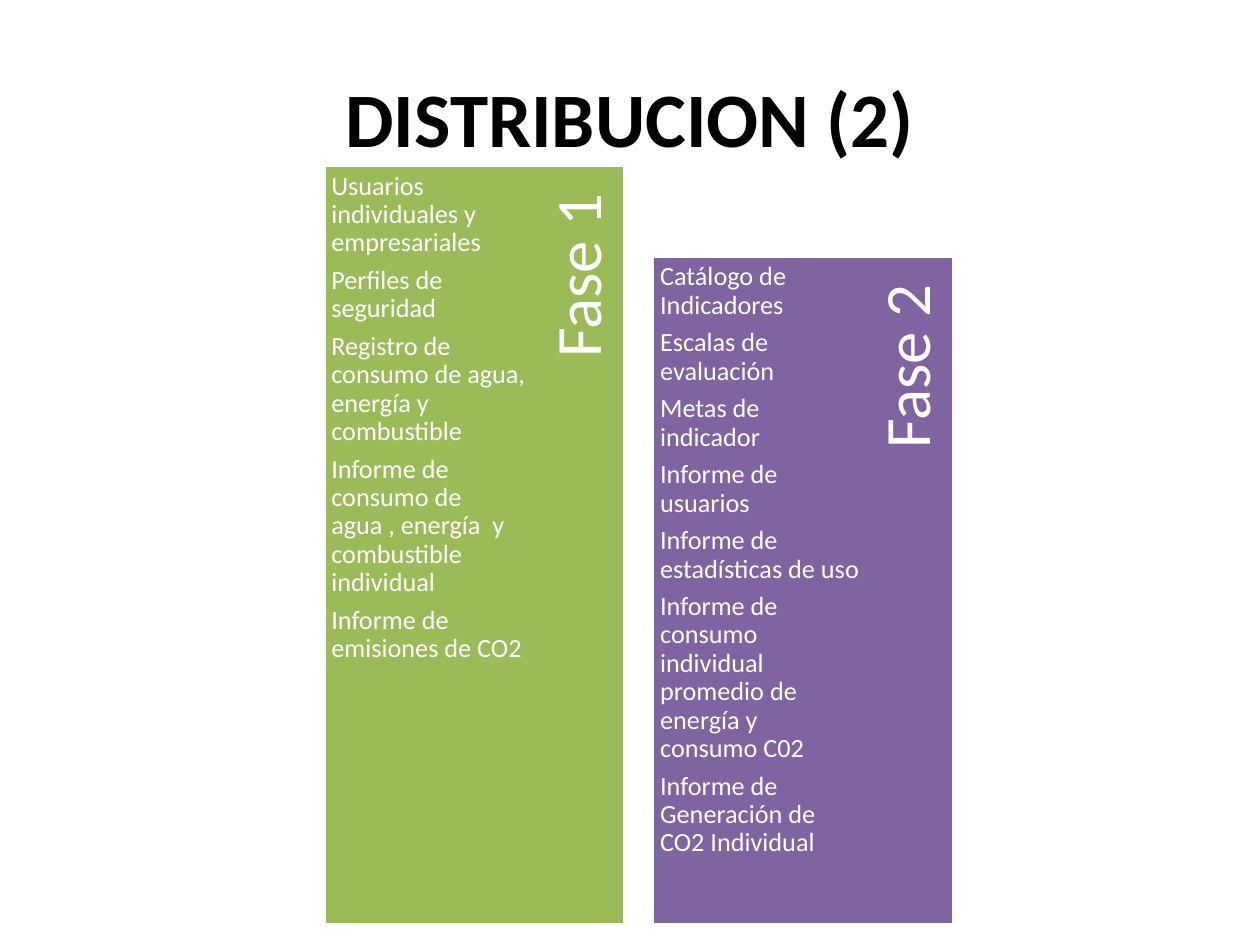
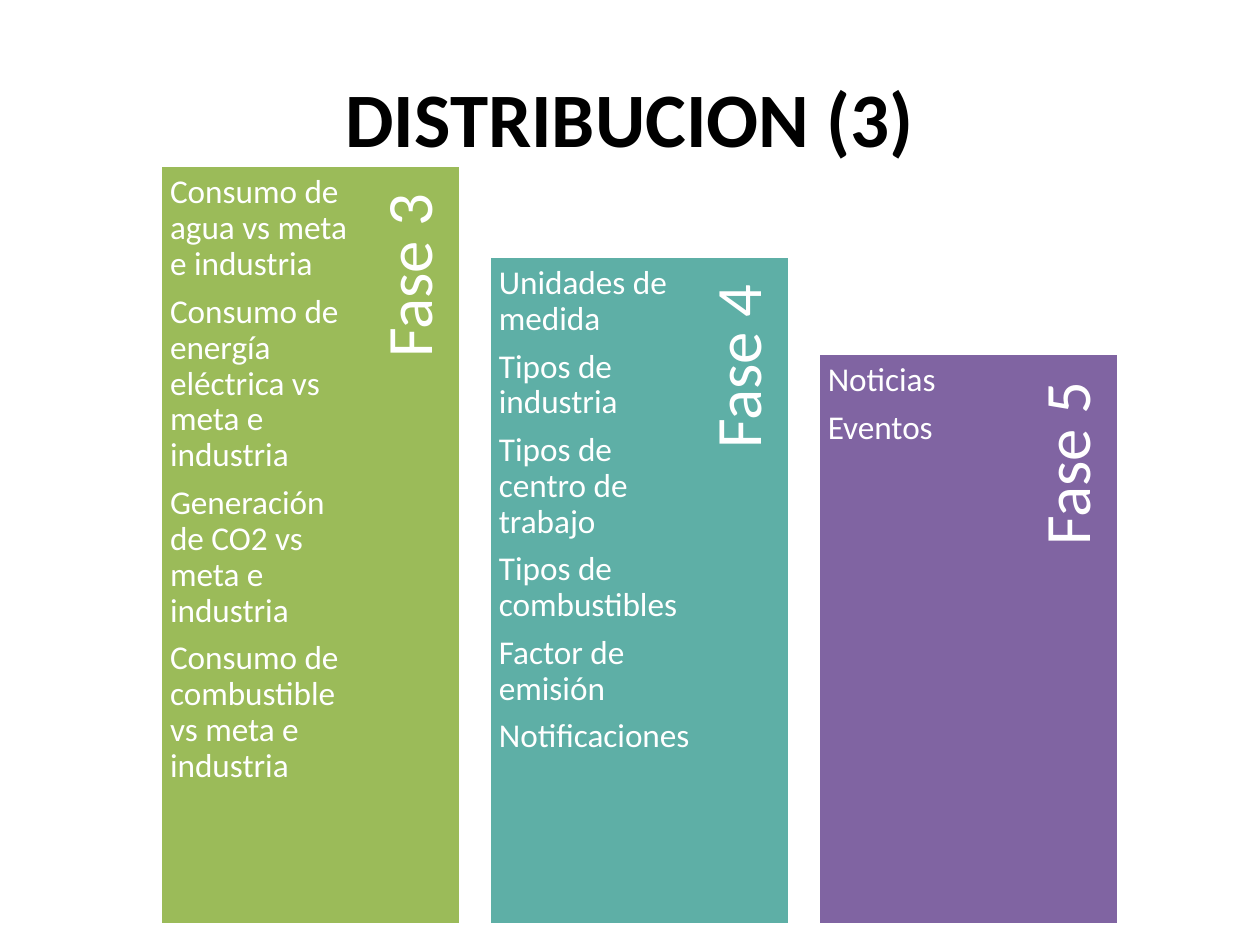
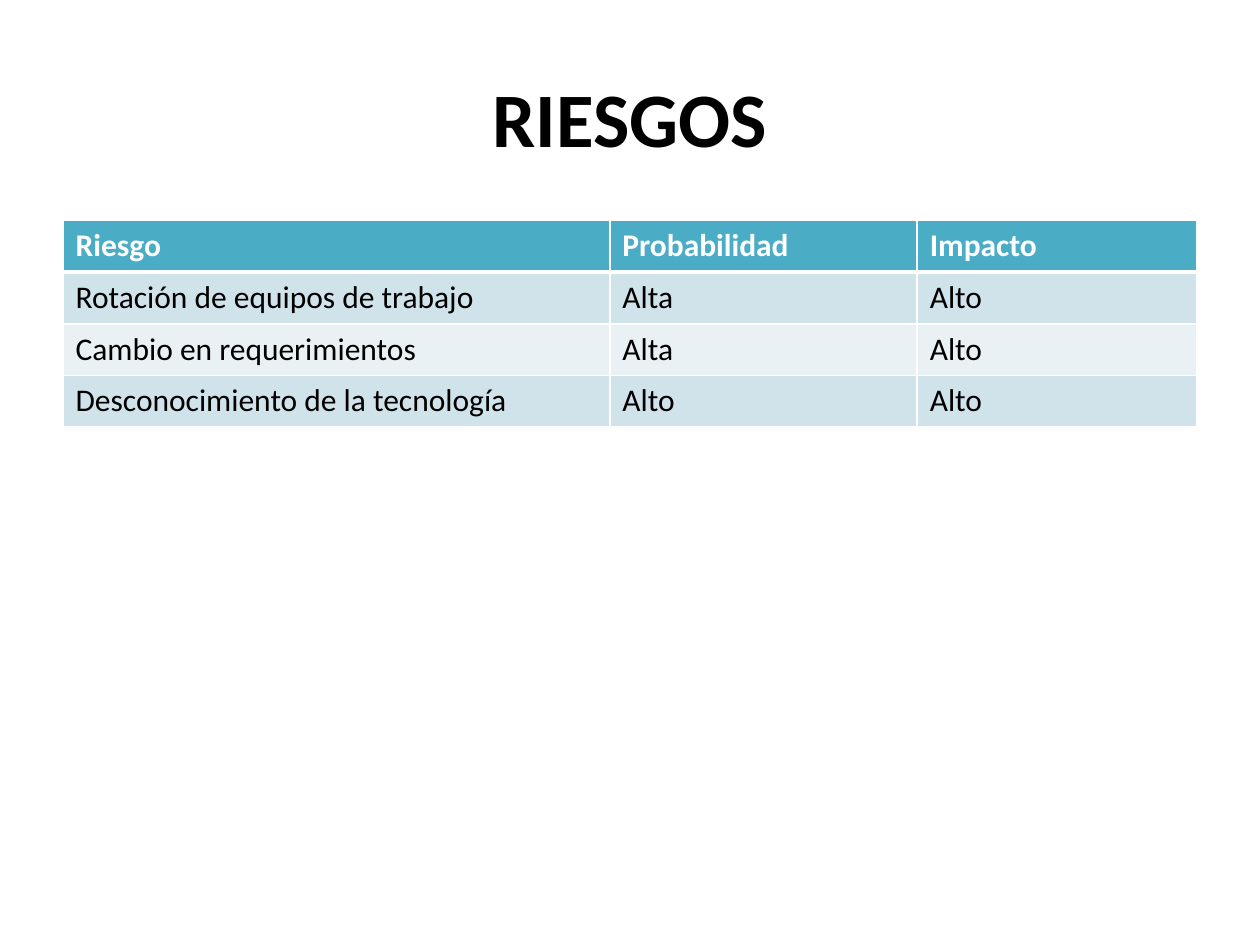
import pptx
import pptx.dml.color
import pptx.enum.shapes
import pptx.enum.text
import pptx.oxml
import pptx.oxml.ns
import pptx.util
from pptx.util import Inches

ALIGN = pptx.enum.text.PP_ALIGN
ANCHOR = pptx.enum.text.MSO_ANCHOR

FONT = "Calibri"
WHITE = "FFFFFF"
BLACK = "000000"
GREEN = "9BBB59"
TEAL = "5EAFA6"
PURPLE = "8064A2"
HEADER = "4BACC6"
BANDS = ("D0E3EA", "E9F1F5")

BAR_TOPS = (1.31, 2.03, 2.8)
BAR_BOTTOM = 7.34
BAR_WIDTH = 2.39
BAR_STEP = 2.61
ITEMS_WIDTH = 1.7
LABEL_THICKNESS = 0.62
LABEL_SIZE = 37


def color(value):
    return pptx.dml.color.RGBColor.from_string(value)


class Deck:
    def __init__(self):
        self.presentation = pptx.Presentation()
        self.presentation.slide_width = Inches(10)
        self.presentation.slide_height = Inches(7.5)
        self.slide = None

    def add_slide(self, title):
        self.slide = self.presentation.slides.add_slide(self.presentation.slide_layouts[6])
        box = self.text(0.5, 0.3, 9, 1.25, [title], 44, BLACK, ALIGN.CENTER, ANCHOR.MIDDLE)
        box.text_frame.paragraphs[0].font.bold = True

    def style(self, paragraph, size, font_color, align=ALIGN.LEFT):
        paragraph.alignment = align
        paragraph.font.name = FONT
        paragraph.font.size = pptx.util.Pt(size)
        paragraph.font.color.rgb = color(font_color)

    def text(self, left, top, width, height, lines, size, font_color=WHITE,
             align=ALIGN.LEFT, anchor=ANCHOR.TOP, insets=(0.1, 0.05, 0.1, 0.05), tight=False):
        box = self.slide.shapes.add_textbox(Inches(left), Inches(top), Inches(width), Inches(height))
        frame = box.text_frame
        frame.word_wrap = True
        frame.vertical_anchor = anchor
        (frame.margin_left, frame.margin_top,
         frame.margin_right, frame.margin_bottom) = map(Inches, insets)
        for index, line in enumerate(lines):
            paragraph = frame.add_paragraph() if index else frame.paragraphs[0]
            paragraph.text = line
            if tight:
                paragraph.line_spacing = 0.9
                paragraph.space_after = pptx.util.Pt(0.35 * size)
            self.style(paragraph, size, font_color, align)
        return box

    def bar(self, left, top, height, fill):
        shape = self.slide.shapes.add_shape(
            pptx.enum.shapes.MSO_SHAPE.RECTANGLE,
            Inches(left), Inches(top), Inches(BAR_WIDTH), Inches(height))
        shape.shadow.inherit = False
        shape.fill.solid()
        shape.fill.fore_color.rgb = color(fill)
        shape.line.color.rgb = color(WHITE)
        shape.line.width = pptx.util.Pt(2)

    def phases(self, first_left, size, inset, label_offset, phases):
        for index, (label, fill, items) in enumerate(phases):
            left = first_left + index * BAR_STEP
            top = BAR_TOPS[index]
            height = BAR_BOTTOM - top
            self.bar(left, top, height, fill)
            length = 0.9 * height
            box = self.text(left + label_offset - length / 2,
                            top + (length - LABEL_THICKNESS) / 2,
                            length, LABEL_THICKNESS, [label], LABEL_SIZE,
                            align=ALIGN.RIGHT, anchor=ANCHOR.MIDDLE,
                            insets=(0.15, 0, 0.23, 0.05), tight=True)
            box.rotation = 270
            self.text(left, top, ITEMS_WIDTH, height, items, size,
                      insets=(inset,) * 4, tight=True)

    def border(self, cell, side, points):
        properties = cell._tc.get_or_add_tcPr()
        properties.append(pptx.oxml.parse_xml(
            f'<a:{side} {pptx.oxml.ns.nsdecls("a")} w="{pptx.util.Pt(points)}">'
            f'<a:solidFill><a:srgbClr val="{WHITE}"/></a:solidFill></a:{side}>'))

    def table(self, left, top, widths, row_height, rows):
        table = self.slide.shapes.add_table(
            len(rows), len(widths), Inches(left), Inches(top),
            Inches(sum(widths)), Inches(row_height * len(rows))).table
        for column, width in zip(table.columns, widths):
            column.width = Inches(width)
        for row_index, values in enumerate(rows):
            table.rows[row_index].height = Inches(row_height)
            is_header = row_index == 0
            fill = HEADER if is_header else BANDS[(row_index - 1) % 2]
            for column_index, value in enumerate(values):
                cell = table.cell(row_index, column_index)
                cell.text = value
                paragraph = cell.text_frame.paragraphs[0]
                self.style(paragraph, 18, WHITE if is_header else BLACK)
                paragraph.font.bold = is_header
                self.border(cell, "lnL", 1)
                self.border(cell, "lnR", 1)
                self.border(cell, "lnT", 3 if row_index == 1 else 1)
                self.border(cell, "lnB", 3 if is_header else 1)
                cell.fill.solid()
                cell.fill.fore_color.rgb = color(fill)


def main():
    deck = Deck()

    deck.add_slide("DISTRIBUCION (2)")
    deck.phases(2.57, 15, 0.06, 2.06, [
        ("Fase 1", GREEN, [
            "Usuarios individuales y empresariales",
            "Perfiles de seguridad",
            "Registro de consumo de agua, energía y combustible",
            "Informe de consumo de agua , energía  y combustible individual",
            "Informe de  emisiones de CO2",
        ]),
        ("Fase 2", PURPLE, [
            "Catálogo de Indicadores",
            "Escalas de evaluación",
            "Metas de indicador",
            "Informe de usuarios",
            "Informe de estadísticas de uso",
            "Informe de consumo individual promedio de energía y consumo C02",
            "Informe de Generación de CO2 Individual",
        ]),
    ])

    deck.add_slide("DISTRIBUCION (3)")
    deck.phases(1.27, 19, 0.08, 2.02, [
        ("Fase 3", GREEN, [
            "Consumo de agua vs meta e industria",
            "Consumo de energía eléctrica vs meta e industria",
            "Generación de CO2 vs meta e industria",
            "Consumo de combustible vs meta e industria",
        ]),
        ("Fase 4", TEAL, [
            "Unidades de medida",
            "Tipos de industria",
            "Tipos de centro de trabajo",
            "Tipos de combustibles",
            "Factor de emisión",
            "Notificaciones",
        ]),
        ("Fase 5", PURPLE, ["Noticias", "Eventos"]),
    ])

    deck.add_slide("RIESGOS")
    deck.table(0.5, 1.75, (4.34, 2.44, 2.22), 0.41, [
        ("Riesgo", "Probabilidad", "Impacto"),
        ("Rotación de equipos de trabajo", "Alta", "Alto"),
        ("Cambio en requerimientos", "Alta", "Alto"),
        ("Desconocimiento de la tecnología", "Alto", "Alto"),
    ])

    deck.presentation.save("out.pptx")


if __name__ == "__main__":
    main()
